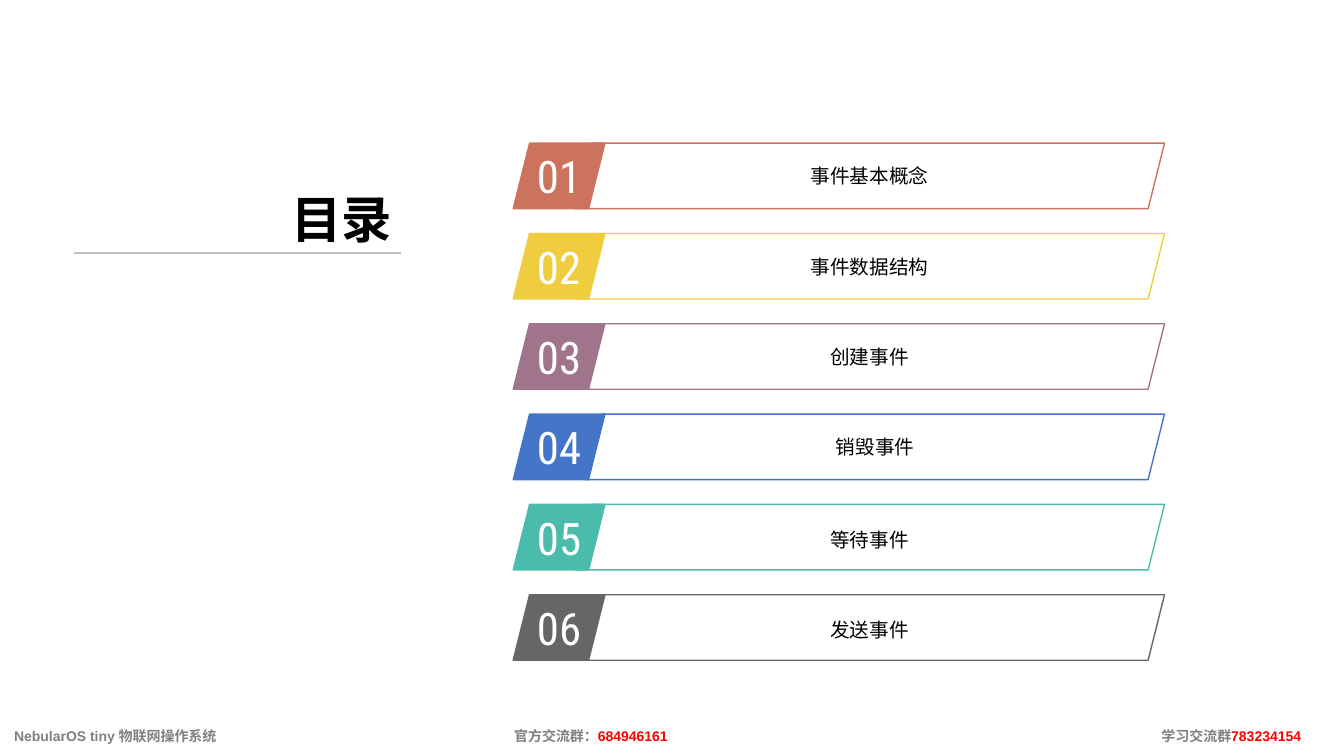
from lxml.etree import SubElement
from pptx import Presentation
from pptx.dml.color import RGBColor
from pptx.enum.shapes import MSO_CONNECTOR, MSO_SHAPE
from pptx.enum.text import MSO_ANCHOR, PP_ALIGN
from pptx.oxml.ns import qn
from pptx.util import Inches, Pt

FIRST_TOP, LAST_TOP = 1.42, 5.9
ROW_HEIGHT = 0.65
LABEL_RIGHT = 11.55
CHAPTERS = [
    ("事件基本概念", "CC735E", 5.7, 1.0),
    ("事件数据结构", "EFCD3F", 5.7, 1.0),
    ("创建事件", "A0758C", 5.7, 1.0),
    ("销毁事件", "4575C9", 5.81, 1.0),
    ("等待事件", "4BBCAC", 5.7, 1.2),
    ("发送事件", "666666", 5.7, 1.2),
]
FOOTER_TABS = (4.96, 11.38)
FOOTER_RUNS = [
    ("NebularOS tiny 物联网操作系统\t官方交流群：", "808080"),
    ("684946161\t", "FF0000"),
    ("学习交流群", "808080"),
    ("783234154", "FF0000"),
]


def rgb(hex_color):
    """Turn a hex string into a colour."""
    return RGBColor.from_string(hex_color)


def add_run(paragraph, text, size, color, font="Arial", bold=False):
    """Append one formatted run to a paragraph."""
    run = paragraph.add_run()
    run.text = text
    run.font.size = Pt(size)
    run.font.name = font
    run.font.bold = bold
    run.font.color.rgb = rgb(color)


def add_parallelogram(slide, left, top, width, color, filled):
    """Add a slanted box and return its centred, empty paragraph."""
    box = slide.shapes.add_shape(
        MSO_SHAPE.PARALLELOGRAM,
        Inches(left), Inches(top), Inches(width), Inches(ROW_HEIGHT),
    )
    box.shadow.inherit = False
    if filled:
        box.fill.solid()
        box.fill.fore_color.rgb = rgb(color)
    else:
        box.fill.background()
    box.line.color.rgb = rgb(color)
    box.line.width = Pt(1)
    frame = box.text_frame
    frame.vertical_anchor = MSO_ANCHOR.MIDDLE
    frame.word_wrap = not filled
    paragraph = frame.paragraphs[0]
    paragraph.alignment = PP_ALIGN.CENTER
    return paragraph


def add_chapter(slide, index, name, color, label_left, spacing):
    """Add one agenda row: a filled number and an outlined label."""
    top = FIRST_TOP + index * (LAST_TOP - FIRST_TOP) / (len(CHAPTERS) - 1)
    number = add_parallelogram(slide, 5.09, top, 0.91, color, True)
    add_run(number, f"{index + 1:02d}", 32, "FFFFFF", "Roboto Condensed")
    label_width = LABEL_RIGHT - label_left
    label = add_parallelogram(slide, label_left, top, label_width, color, False)
    label.line_spacing = spacing
    add_run(label, name, 14, "000000")


def add_text(slide, left, top, width, height, anchor, wrap):
    """Add a text box and return its frame."""
    box = slide.shapes.add_textbox(
        Inches(left), Inches(top), Inches(width), Inches(height)
    )
    frame = box.text_frame
    frame.vertical_anchor = anchor
    frame.word_wrap = wrap
    return frame


def add_heading(slide):
    """Add the agenda heading with the rule below it."""
    rule = slide.shapes.add_connector(
        MSO_CONNECTOR.STRAIGHT,
        Inches(0.73), Inches(2.51), Inches(3.98), Inches(2.51),
    )
    rule.line.color.rgb = rgb("BFBFBF")
    rule.line.width = Pt(1.5)
    SubElement(rule._element.spPr, qn("a:effectLst"))
    frame = add_text(slide, 1.6, 1.42, 2.39, 1.1, MSO_ANCHOR.BOTTOM, False)
    heading = frame.paragraphs[0]
    heading.alignment = PP_ALIGN.RIGHT
    add_run(heading, "目录", 36, "000000", bold=True)


def add_footer(slide):
    """Add the footer line, its three parts set at tab stops."""
    frame = add_text(slide, 0, 7.1, 13.33, 0.4, MSO_ANCHOR.MIDDLE, True)
    frame.margin_left = Inches(0.14)
    footer = frame.paragraphs[0]
    tabs = SubElement(footer._p.get_or_add_pPr(), qn("a:tabLst"))
    for position in FOOTER_TABS:
        SubElement(tabs, qn("a:tab"), pos=str(Inches(position)), algn="l")
    for text, color in FOOTER_RUNS:
        add_run(footer, text, 10, color, bold=True)


def main():
    """Build the agenda slide and save it."""
    deck = Presentation()
    deck.slide_width = Inches(13.33)
    deck.slide_height = Inches(7.5)
    slide = deck.slides.add_slide(deck.slide_layouts[6])
    for index, chapter in enumerate(CHAPTERS):
        add_chapter(slide, index, *chapter)
    add_heading(slide)
    add_footer(slide)
    deck.save("out.pptx")


if __name__ == "__main__":
    main()
